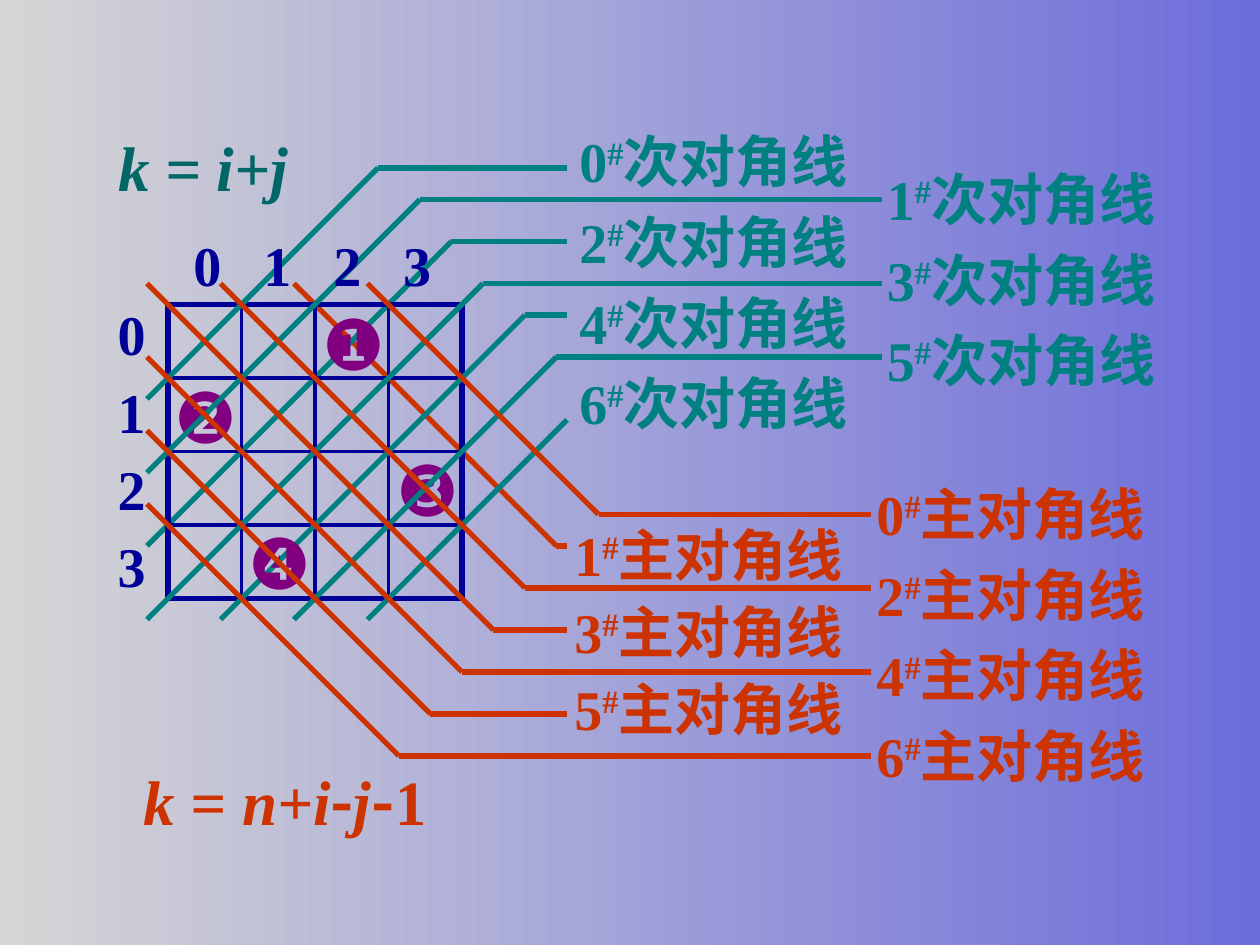
from dataclasses import dataclass
from typing import NamedTuple, Sequence

from lxml.etree import SubElement
from pptx import Presentation
from pptx.dml.color import RGBColor
from pptx.enum.shapes import MSO_CONNECTOR
from pptx.enum.text import MSO_AUTO_SIZE
from pptx.oxml.ns import qn
from pptx.slide import Slide
from pptx.util import Cm, Length, Pt


@dataclass(frozen=True)
class Theme:
    secondary: str = "008080"
    main: str = "CC3300"
    grid: str = "000099"
    queen: str = "800080"
    formula: str = "006666"
    fade_start: str = "6D6DDB"
    fade_end: str = "D6D6D6"
    serif: str = "Times New Roman"
    sans: str = "Arial"
    chinese: str = "Noto Sans CJK SC"
    label_size: int = 32
    formula_size: int = 36
    queen_size: int = 40
    thick: float = 3
    thin: float = 2.25


class Point(NamedTuple):
    x: int
    y: int


class Frame(NamedTuple):
    left: float
    top: float
    width: float
    height: float


class Span(NamedTuple):
    text: str
    font: str
    italic: bool = False
    raised: bool = False


class Diagonal(NamedTuple):
    start: Point
    elbow: Point
    end_x: int
    color: str


class Queen(NamedTuple):
    symbol: str
    row: int
    column: int


THEME = Theme()
CELL = 7
SIZE = 4
GRID_LEFT, GRID_TOP = 16, 29
GRID_RIGHT, GRID_BOTTOM = GRID_LEFT + SIZE * CELL, GRID_TOP + SIZE * CELL
QUEEN_COLUMN_STEP, QUEEN_ROW_STEP = 1.49, 1.47
SECONDARY_ELBOWS = (36, 40, 43, 46, 50, 53, 54)
MAIN_ELBOWS = (57, 53, 50, 47, 44, 41, 38)
NEAR_END, SECONDARY_FAR_END, MAIN_FAR_END = 54, 84, 83


def unit(count: int) -> Length:
    return Cm(count * 2.54 / 12)


def draw_line(page: Slide, start: Point, end: Point, color: str, width: float) -> None:
    line = page.shapes.add_connector(
        MSO_CONNECTOR.STRAIGHT, unit(start.x), unit(start.y), unit(end.x), unit(end.y)
    )
    line.line.color.rgb = RGBColor.from_string(color)
    line.line.width = Pt(width)
    SubElement(line._element.spPr, qn("a:effectLst"))


def draw_grid(page: Slide) -> None:
    for index in range(SIZE + 1):
        width = THEME.thick if index in (0, SIZE) else THEME.thin
        x, y = GRID_LEFT + index * CELL, GRID_TOP + index * CELL
        draw_line(page, Point(GRID_LEFT, y), Point(GRID_RIGHT, y), THEME.grid, width)
        draw_line(page, Point(x, GRID_TOP), Point(x, GRID_BOTTOM), THEME.grid, width)


def secondary_diagonal(k: int) -> Diagonal:
    start = Point(14 + CELL * max(0, k - 3), 38 + CELL * min(3, k))
    x = SECONDARY_ELBOWS[k]
    end_x = SECONDARY_FAR_END if k % 2 else NEAR_END
    return Diagonal(start, Point(x, start.y - (x - start.x)), end_x, THEME.secondary)


def main_diagonal(k: int) -> Diagonal:
    start = Point(14 + CELL * max(0, 3 - k), 27 + CELL * max(0, k - 3))
    x = MAIN_ELBOWS[k]
    end_x = NEAR_END if k % 2 else MAIN_FAR_END
    return Diagonal(start, Point(x, start.y + (x - start.x)), end_x, THEME.main)


def draw_diagonal(page: Slide, diagonal: Diagonal) -> None:
    elbow = diagonal.elbow
    draw_line(page, diagonal.start, elbow, diagonal.color, THEME.thick)
    if diagonal.end_x != elbow.x:
        draw_line(page, elbow, Point(diagonal.end_x, elbow.y), diagonal.color, THEME.thick)


def write_text(page: Slide, frame: Frame, lines: Sequence[Sequence[Span]], color: str,
               size: int, bold: bool = True, spacing: float = 1,
               tabs: Sequence[float] = ()) -> None:
    box = page.shapes.add_textbox(*(Cm(length) for length in frame))
    text_frame = box.text_frame
    text_frame.word_wrap = False
    text_frame.auto_size = MSO_AUTO_SIZE.SHAPE_TO_FIT_TEXT
    text_frame.text = "\n".join(line[0].text for line in lines)
    for para, line in zip(text_frame.paragraphs, lines):
        para.line_spacing = spacing
        if tabs:
            tab_list = SubElement(para._p.get_or_add_pPr(), qn("a:tabLst"))
            for position in tabs:
                SubElement(tab_list, qn("a:tab"), pos=str(Cm(position)), algn="l")
        for span in line[1:]:
            para.add_run().text = span.text
        for run, span in zip(para.runs, line):
            font = run.font
            font.name = span.font
            font.size = Pt(size)
            font.bold = bold
            font.italic = span.italic
            font.color.rgb = RGBColor.from_string(color)
            if span.font != THEME.sans:
                SubElement(font._element, qn("a:ea"), typeface=THEME.chinese)
            if span.raised:
                font._element.set("baseline", "30000")


def write_labels(page: Slide, frame: Frame, numbers: Sequence[int], name: str,
                 color: str, spacing: float) -> None:
    lines = [
        (Span(str(number), THEME.serif), Span("#", THEME.serif, raised=True),
         Span(name, THEME.serif))
        for number in numbers
    ]
    write_text(page, frame, lines, color, THEME.label_size, spacing=spacing)


def draw_queen(page: Slide, queen: Queen) -> None:
    left = 3.27 + queen.column * QUEEN_COLUMN_STEP
    top = 5.93 + queen.row * QUEEN_ROW_STEP
    write_text(page, Frame(left, top, 1.78, 1.96), [[Span(queen.symbol, THEME.sans)]],
               THEME.queen, THEME.queen_size, bold=False)


def write_formulas(page: Slide) -> None:
    write_text(page, Frame(2.13, 2.46, 3.94, 1.78),
               [[Span("k = i+j", THEME.serif, italic=True)]],
               THEME.formula, THEME.formula_size)
    minus = Span("-", THEME.chinese)
    write_text(page, Frame(2.64, 15.24, 6.81, 1.78),
               [[Span("k = n+i", THEME.serif, italic=True), minus,
                 Span("j", THEME.serif, italic=True), minus, Span("1", THEME.serif)]],
               THEME.main, THEME.formula_size)


def paint_background(page: Slide) -> None:
    fill = page.background.fill
    fill.gradient()
    fill.gradient_angle = 180
    for stop, color in zip(fill.gradient_stops, (THEME.fade_start, THEME.fade_end)):
        stop.color.rgb = RGBColor.from_string(color)


def main() -> None:
    deck = Presentation()
    deck.slide_width, deck.slide_height = Cm(25.4), Cm(19.05)
    page = deck.slides.add_slide(deck.slide_layouts[6])
    paint_background(page)

    draw_diagonal(page, main_diagonal(1))
    draw_diagonal(page, secondary_diagonal(2))
    draw_grid(page)
    for queen in (Queen("❶", 0, 2), Queen("❷", 1, 0), Queen("❸", 2, 3)):
        draw_queen(page, queen)
    for k in (0, 1, 3, 4, 5, 6):
        draw_diagonal(page, secondary_diagonal(k))
    for k in (0, 2, 4, 6):
        draw_diagonal(page, main_diagonal(k))
    draw_queen(page, Queen("❹", 3, 1))
    for k in (3, 5):
        draw_diagonal(page, main_diagonal(k))

    even, odd = (0, 2, 4, 6), (1, 3, 5)
    write_labels(page, Frame(11.43, 2.16, 6.2, 6.76), even, "次对角线", THEME.secondary, 1.2)
    write_labels(page, Frame(17.63, 2.92, 6.2, 5.13), odd, "次对角线", THEME.secondary, 1.2)
    write_labels(page, Frame(17.42, 9.27, 6.2, 6.76), even, "主对角线", THEME.main, 1.2)
    write_labels(page, Frame(11.33, 10.16, 6.2, 4.93), odd, "主对角线", THEME.main, 1.15)

    indices = [Span(str(index), THEME.serif) for index in range(SIZE)]
    write_text(page, Frame(3.65, 4.53, 5.87, 1.63),
               [[Span("\t".join(index.text for index in indices), THEME.serif)]],
               THEME.grid, THEME.label_size, tabs=[1.41 * step for step in range(1, SIZE)])
    write_text(page, Frame(2.12, 5.72, 1.07, 6.5), [[index] for index in indices],
               THEME.grid, THEME.label_size, spacing=1.15)
    write_formulas(page)
    deck.save("out.pptx")


if __name__ == "__main__":
    main()
